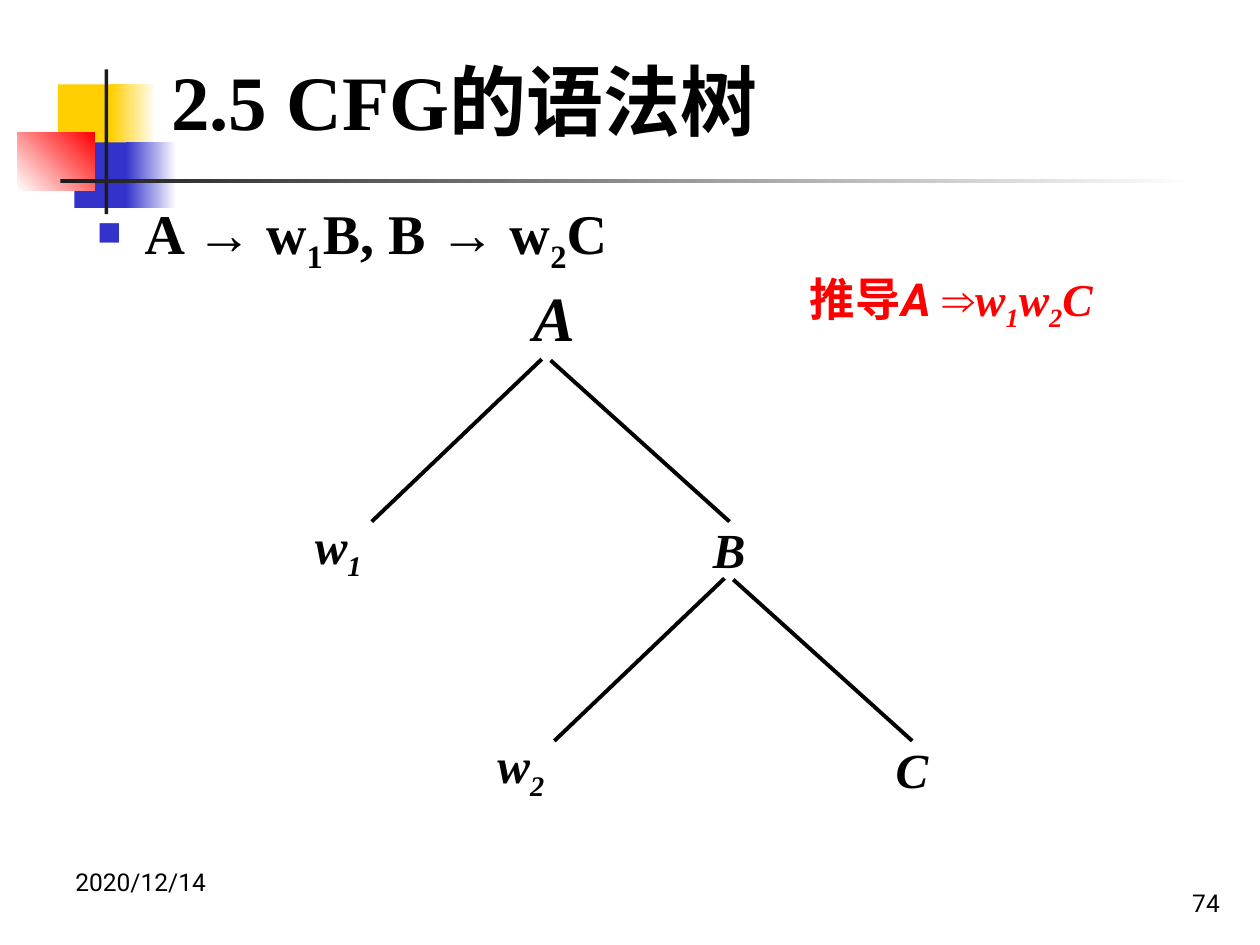
from lxml.etree import SubElement
from pptx import Presentation
from pptx.dml.color import RGBColor
from pptx.enum.shapes import MSO_CONNECTOR, MSO_SHAPE
from pptx.enum.text import MSO_ANCHOR, MSO_AUTO_SIZE, PP_ALIGN
from pptx.oxml.ns import qn
from pptx.util import Inches, Pt

SERIF, SANS = "Times New Roman", "Roboto"
BLACK, DARK, WHITE = "000000", "1C1C1C", "FFFFFF"
GOLD, BLUE, RED = "FFCF01", "3333CC", "FF0000"


def color(value):
    return RGBColor.from_string(value)


def sub(text):
    """A run set as a subscript."""
    return text, {"base": -25000}


def add_bullet(para, indent):
    props = para._p.get_or_add_pPr()
    props.set("marL", str(Inches(indent)))
    props.set("indent", str(-Inches(indent)))
    tint = SubElement(props, qn("a:buClr"))
    SubElement(tint, qn("a:srgbClr"), val=BLUE)
    SubElement(props, qn("a:buSzPct"), val="60000")
    SubElement(props, qn("a:buChar"), char="■")


def add_text(slide, box, *runs, size=28, font=SERIF, tint=BLACK, bold=True,
             italic=False, align=PP_ALIGN.LEFT, anchor=MSO_ANCHOR.TOP,
             spacing=None, bullet=None, wrap=True):
    """Each run is a string, or a string with its own font, italic or base."""
    frame = slide.shapes.add_textbox(*map(Inches, box)).text_frame
    frame.word_wrap = wrap
    frame.auto_size = MSO_AUTO_SIZE.NONE
    frame.vertical_anchor = anchor
    para = frame.paragraphs[0]
    if bullet:
        add_bullet(para, bullet)
    para.alignment = align
    if spacing:
        para.line_spacing = spacing
    for item in runs:
        text, own = (item, {}) if isinstance(item, str) else item
        run = para.add_run()
        run.text = text
        run.font.name = own.get("font", font)
        run.font.size = Pt(size)
        run.font.bold = bold
        run.font.italic = own.get("italic", italic)
        run.font.color.rgb = color(tint)
        if "base" in own:
            run._r.get_or_add_rPr().set("baseline", str(own["base"]))


def add_block(slide, box, first, last=None, angle=0):
    """A plain rectangle, or one that fades from first to last."""
    shape = slide.shapes.add_shape(MSO_SHAPE.RECTANGLE, *map(Inches, box))
    shape.shadow.inherit = False
    shape.line.fill.background()
    if last is None:
        shape.fill.solid()
        shape.fill.fore_color.rgb = color(first)
        return
    shape.fill.gradient()
    shape.fill.gradient_angle = angle
    for stop, tint in zip(shape.fill.gradient_stops, (first, last)):
        stop.color.rgb = color(tint)


def add_line(slide, start, end):
    line = slide.shapes.add_connector(
        MSO_CONNECTOR.STRAIGHT, *map(Inches, (*start, *end)))
    line.line.color.rgb = color(BLACK)
    line.line.width = Pt(2.25)
    SubElement(line._element.spPr, qn("a:effectLst"))


def add_motif(slide, x, y):
    """Coloured squares and the two rules behind the title."""
    add_block(slide, (x + 0.32, y + 0.12, 0.48, 0.52), GOLD)
    add_block(slide, (x + 0.74, y + 0.12, 0.36, 0.52), GOLD, WHITE)
    add_block(slide, (x + 0.45, y + 0.58, 0.46, 0.52), BLUE)
    add_block(slide, (x + 0.86, y + 0.58, 0.4, 0.52), BLUE, WHITE)
    add_block(slide, (x, y + 0.5, 0.61, 0.46), WHITE, RED, angle=45)
    add_block(slide, (x + 0.69, y, 0.03, 1.15), DARK)
    add_block(slide, (x + 0.34, y + 0.87, 9, 0.03), DARK, WHITE)


def add_branch(slide, x, y, index, child):
    """Two edges, with a terminal on the left and a child on the right."""
    add_line(slide, (x + 0.55, y + 1.29), (x + 1.9, y))
    add_line(slide, (x + 3.39, y + 1.29), (x + 1.97, y + 0.01))
    add_text(slide, (x, y + 1.14, 0.74, 0.58), "w", sub(index),
             italic=True, spacing=1.1)
    add_text(slide, (x + 3.16, y + 1.18, 1.25, 0.58), child,
             italic=True, spacing=1.1)


def add_tree(slide, x, y):
    add_text(slide, (x + 1.73, y, 1.25, 0.77), "A",
             size=36, italic=True, spacing=1.1)
    for level, (index, child) in enumerate((("1", "B"), ("2", "C"))):
        add_branch(slide, x + 1.45 * level, y + 0.75 + 1.74 * level,
                   index, child)


def add_footer(slide, y):
    add_text(slide, (0.5, y, 2.33, 0.52), "2020/12/14",
             size=14, font=SANS, bold=False)
    add_text(slide, (7.7, y, 2.08, 0.5), "74", size=14, font=SANS, bold=False,
             align=PP_ALIGN.RIGHT, anchor=MSO_ANCHOR.BOTTOM)


def main():
    deck = Presentation()
    deck.slide_width, deck.slide_height = Inches(10), Inches(7.5)
    slide = deck.slides.add_slide(deck.slide_layouts[6])

    add_motif(slide, 0.14, 0.55)
    add_footer(slide, 6.83)
    # Title and grammar rules
    add_text(slide, (1.26, 0.51, 5.99, 0.57), "2.5 CFG的语法树",
             size=44, anchor=MSO_ANCHOR.MIDDLE)
    add_text(slide, (0.67, 1.53, 8.75, 5.21),
             "A → w", sub("1"), "B, B → w", sub("2"), "C",
             size=32, align=PP_ALIGN.JUSTIFY, bullet=0.38)
    # Syntax tree and its derivation
    add_tree(slide, 2.4, 2.1)
    add_text(slide, (6.33, 2.1, 2.61, 0.54),
             ("推导", {"font": SANS, "italic": False}), ("A", {"font": SANS}),
             " ⇒w", sub("1"), "w", sub("2"), "C",
             size=26, tint=RED, italic=True, wrap=False)

    deck.save("out.pptx")


if __name__ == "__main__":
    main()
